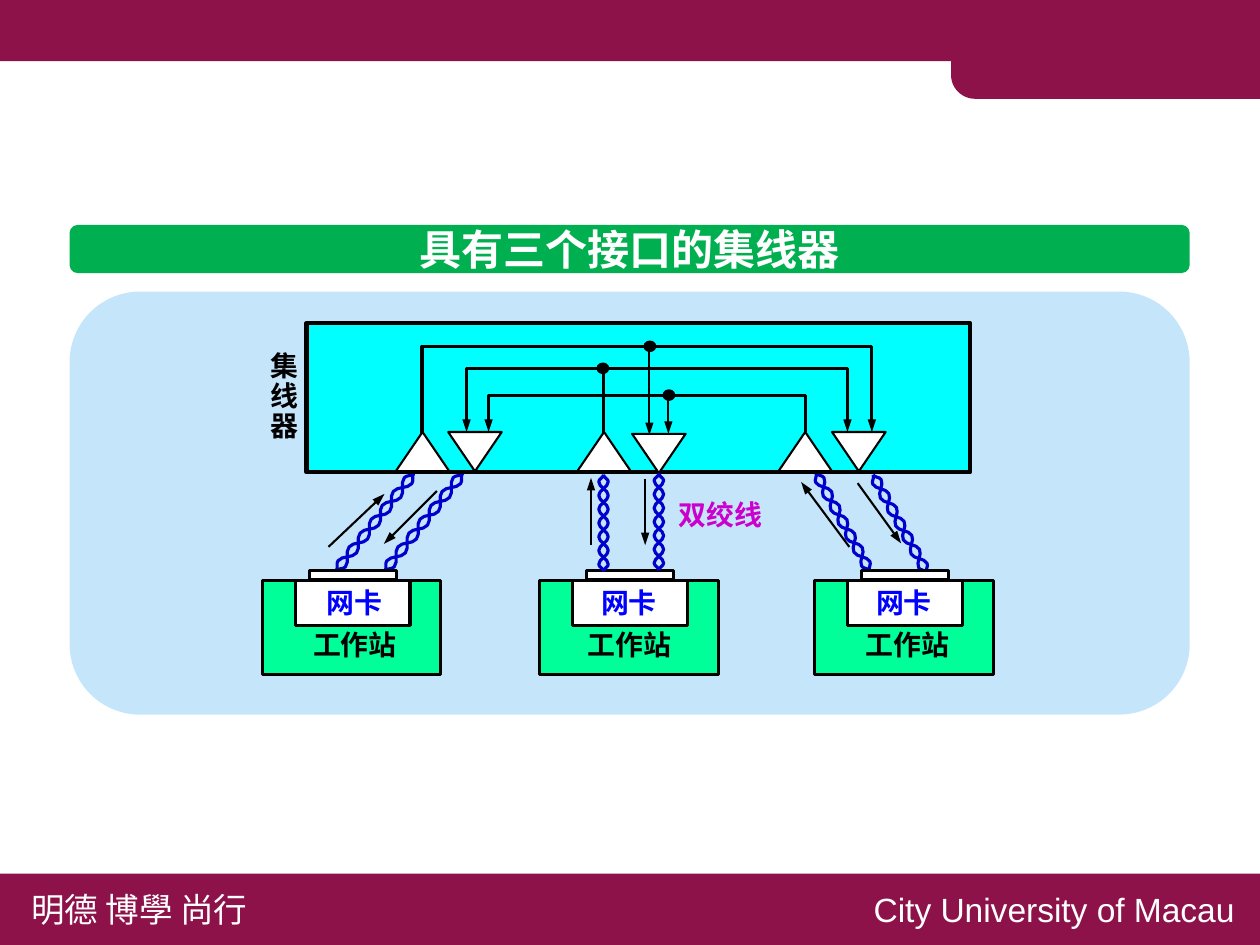
"""Builds the slide about a hub with three ports."""
from math import atan2, degrees, hypot

from lxml.etree import SubElement
from pptx import Presentation
from pptx.dml.color import RGBColor
from pptx.enum.shapes import MSO_CONNECTOR, MSO_SHAPE
from pptx.enum.text import MSO_ANCHOR, PP_ALIGN
from pptx.oxml.ns import qn
from pptx.util import Cm, Pt

WIDTH, HEIGHT = 21.17, 15.88
CJK = "Noto Sans CJK SC"
WINE, WHITE, BLACK, BLUE = "8D124A", "FFFFFF", "000000", "0000CC"

TITLE = "具有三个接口的集线器"
FOOTERS = [("明德 博學 尚行", (0.28, 14.81, 4.27, 0.94), CJK),
           ("City University of Macau", (14.43, 14.81, 6.65, 0.94), "Arial")]
HUB_LABEL = ["集", "线", "器"]
CARD_LABEL, STATION_LABEL, CABLE_LABEL = "网卡", "工作站", "双绞线"

HUB = (5.15, 5.43, 11.15, 2.51)
SENDERS = [(6.65, 7.26), (9.7, 7.26), (13.08, 7.26)]
RECEIVERS = [(7.53, 7.26), (10.62, 7.29), (13.98, 7.26)]
STATIONS = [(4.41, 5.28, 5.06), (9.07, 9.9, 9.67), (13.69, 14.52, 14.34)]
SLANTED_CABLES = [((5.65, 9.59), (6.95, 7.96)), ((6.47, 9.59), (7.77, 7.96)),
                  ((13.71, 7.95), (14.61, 9.59)), ((14.67, 7.98), (15.57, 9.62))]
UPRIGHT_CABLES = [((11.07, 7.96), (11.07, 9.58)), ((10.14, 7.98), (10.14, 9.6))]
BUSES = [[(13.54, 7.26), (13.54, 6.65), (8.21, 6.65), (8.21, 7.26)],
         [(10.14, 7.29), (10.14, 6.2), (14.24, 6.2), (14.24, 7.26)],
         [(10.14, 6.2), (7.84, 6.2), (7.84, 7.26)],
         [(7.09, 7.29), (7.09, 5.82), (14.65, 5.82), (14.65, 7.26)]]
JUNCTIONS = [(10.13, 6.19), (10.92, 5.82), (11.24, 6.64)]
DROPS = [((11.23, 6.65), (11.23, 7.29)), ((10.91, 5.84), (10.91, 7.31))]
FLOWS = [((9.93, 9.15), (9.93, 8.03)), ((10.84, 8.05), (10.84, 9.16)),
         ((5.52, 9.19), (6.46, 8.3)), ((7.34, 8.25), (6.45, 9.14)),
         ((14.27, 9.19), (13.46, 8.1)), ((14.41, 8.12), (15.14, 9.13))]
HALF_TWISTS, TWIST_RADIUS, EASE = 7, 0.08, 0.4

prs = Presentation()
prs.slide_width, prs.slide_height = Cm(WIDTH), Cm(HEIGHT)
s = prs.slides.add_slide(prs.slide_layouts[6])


def rgb(value):
    return RGBColor.from_string(value)


def write(tf, lines, size, color, font=CJK, bold=True, align=None, spacing=None):
    tf.word_wrap = False
    for i, line in enumerate(lines):
        p = tf.add_paragraph() if i else tf.paragraphs[0]
        p.text = line
        p.alignment = align
        p.line_spacing = spacing
        p.font.size, p.font.bold, p.font.name = Pt(size), bold, font
        p.font.color.rgb = rgb(color)
        props = p._p.pPr.find(qn("a:defRPr"))
        SubElement(props, qn("a:ea")).set("typeface", font)


def label(box, lines, color, spacing=None):
    tf = s.shapes.add_textbox(*map(Cm, box)).text_frame
    tf.margin_left = tf.margin_right = Cm(0.2)
    tf.margin_top = tf.margin_bottom = Cm(0.1)
    write(tf, lines, 13.3, color, spacing=spacing)


def block(kind, box, fill, weight=0):
    sp = s.shapes.add_shape(kind, *map(Cm, box))
    sp.shadow.inherit = False
    sp.fill.solid()
    sp.fill.fore_color.rgb = rgb(fill)
    if weight:
        sp.line.color.rgb = rgb(BLACK)
        sp.line.width = Pt(weight)
    else:
        sp.line.fill.background()
    return sp


def point_arrow(sp):
    end = SubElement(sp.line._get_or_add_ln(), qn("a:tailEnd"))
    end.set("type", "triangle")
    end.set("w", "sm")


def outline(points, color):
    points = [(Cm(x), Cm(y)) for x, y in points]
    builder = s.shapes.build_freeform(*points[0], scale=1.0)
    builder.add_line_segments(points[1:], close=False)
    sp = builder.convert_to_shape()
    sp.shadow.inherit = False
    sp.fill.background()
    sp.line.color.rgb = rgb(color)
    sp.line.width = Pt(1.5)
    return sp


def curve(sp):
    x, y = None, None
    for pt in list(sp._element.iter(qn("a:pt"))):
        to_x, to_y = int(pt.get("x")), int(pt.get("y"))
        step = pt.getparent()
        if step.tag == qn("a:lnTo"):
            bend = round((to_x - x) * EASE)
            step.tag = qn("a:cubicBezTo")
            step.remove(pt)
            for px, py in ((x + bend, y), (to_x - bend, to_y), (to_x, to_y)):
                node = SubElement(step, qn("a:pt"))
                node.set("x", str(px))
                node.set("y", str(py))
        x, y = to_x, to_y


def arrow(start, end):
    c = s.shapes.add_connector(MSO_CONNECTOR.STRAIGHT, *map(Cm, start + end))
    c.line.color.rgb = rgb(BLACK)
    c.line.width = Pt(1)
    point_arrow(c)
    SubElement(c._element.spPr, qn("a:effectLst"))


def twisted_pair(start, end):
    dx, dy = end[0] - start[0], end[1] - start[1]
    length = hypot(dx, dy)
    left, y = (start[0] + end[0] - length) / 2, (start[1] + end[1]) / 2
    for side in (TWIST_RADIUS, -TWIST_RADIUS):
        crests = [(left + length * (i + 0.5) / HALF_TWISTS, y + side * (-1) ** i)
                  for i in range(HALF_TWISTS)]
        strand = outline([(left, y), *crests, (left + length, y)], BLUE)
        curve(strand)
        strand.rotation = degrees(atan2(dy, dx)) % 360


def station(x, card_x, name_x):
    block(MSO_SHAPE.RECTANGLE, (x, 9.76, 3, 1.57), "00FF99", 1.5)
    block(MSO_SHAPE.RECTANGLE, (x + 0.55, 9.76, 1.93, 0.75), WHITE, 1.5)
    label((card_x, 9.74, 1.37, 0.79), [CARD_LABEL], "0000FF")
    label((name_x, 10.44, 1.85, 0.79), [STATION_LABEL], BLACK)
    block(MSO_SHAPE.RECTANGLE, (x + 0.79, 9.59, 1.46, 0.15), WHITE, 1.5)


def frame():
    block(MSO_SHAPE.RECTANGLE, (0, 0, WIDTH, 1.03), WINE)
    tab_w, tab_h, tab_top = 5.19, 1.61, 0.05
    tab = block(MSO_SHAPE.ROUND_2_SAME_RECTANGLE,
                (WIDTH - (tab_w + tab_h) / 2, tab_top + (tab_h - tab_w) / 2,
                 tab_h, tab_w), WINE)
    tab.rotation = 270
    tab.adjustments[0] = 0.25
    block(MSO_SHAPE.RECTANGLE, (0, 14.68, WIDTH, HEIGHT - 14.68), WINE)
    for text, box, font in FOOTERS:
        tf = s.shapes.add_textbox(*map(Cm, box)).text_frame
        write(tf, [text], 16, WHITE, font, bold=False)
    banner = block(MSO_SHAPE.ROUNDED_RECTANGLE, (1.17, 3.78, 18.82, 0.81), "00B050")
    banner.text_frame.vertical_anchor = MSO_ANCHOR.MIDDLE
    write(banner.text_frame, [TITLE], 20, WHITE, align=PP_ALIGN.CENTER)
    block(MSO_SHAPE.ROUNDED_RECTANGLE, (1.17, 4.9, 18.82, 7.11), "C5E5FB")


def hub():
    block(MSO_SHAPE.RECTANGLE, HUB, "00FFFF", 2)
    for corners, angle in ((SENDERS, 0), (RECEIVERS, 180)):
        for x, y in corners:
            block(MSO_SHAPE.ISOSCELES_TRIANGLE, (x, y, 0.9, 0.66),
                  WHITE, 1).rotation = angle
    for points in BUSES:
        point_arrow(outline(points, BLACK))
    for ends in DROPS:
        arrow(*ends)
    label((4.34, 5.82, 0.89, 1.75), HUB_LABEL, BLACK, 0.9)


frame()
for ends in SLANTED_CABLES:
    twisted_pair(*ends)
hub()
for places in STATIONS:
    station(*places)
for x, y in JUNCTIONS:
    block(MSO_SHAPE.OVAL, (x - 0.09, y - 0.08, 0.18, 0.16), BLACK, 1)
for ends in FLOWS:
    arrow(*ends)
label((11.2, 8.26, 1.85, 0.79), [CABLE_LABEL], "CC00CC")
for ends in UPRIGHT_CABLES:
    twisted_pair(*ends)
prs.save("out.pptx")
